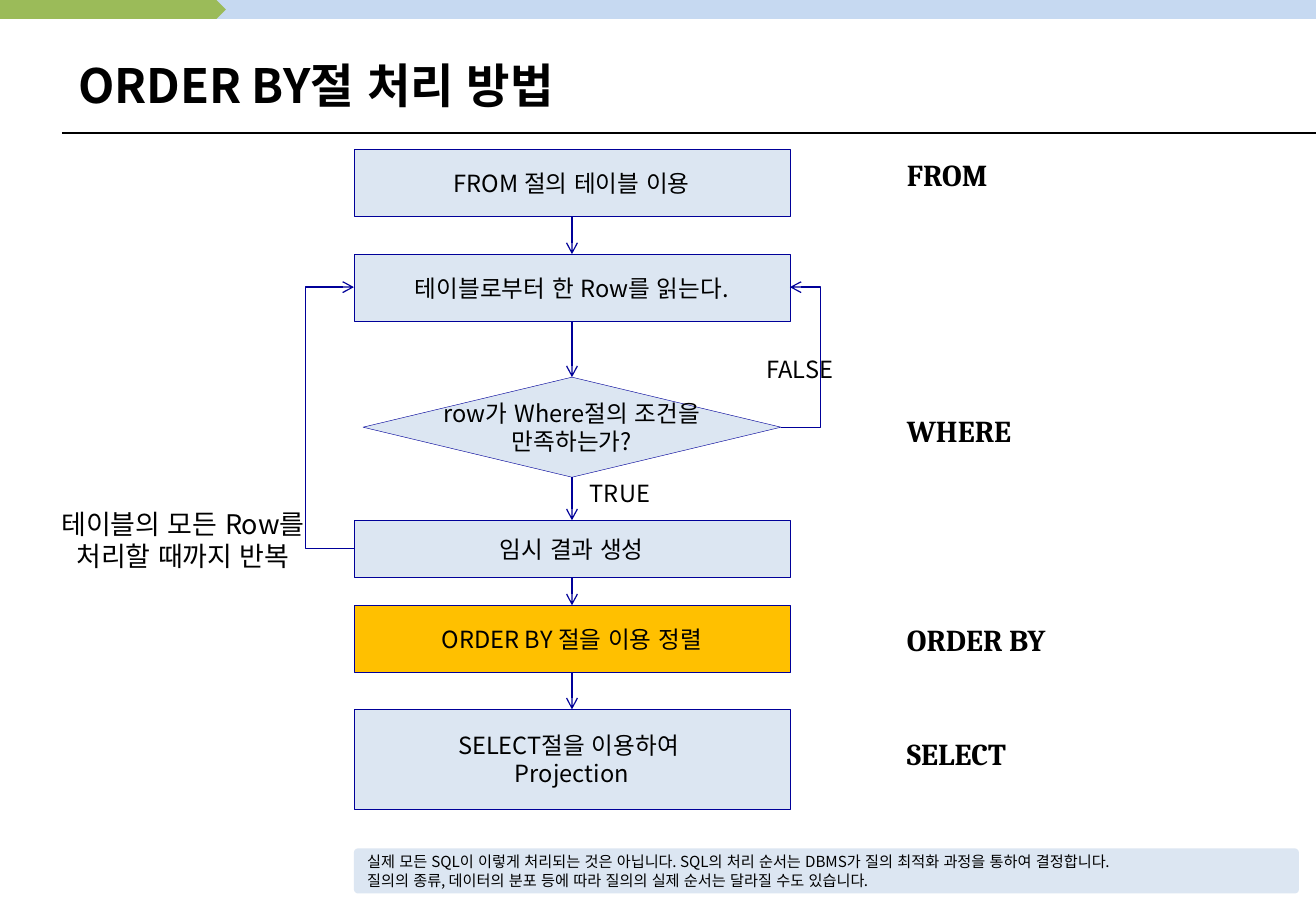
from pptx import Presentation
from pptx.dml.color import RGBColor
from pptx.enum.lang import MSO_LANGUAGE_ID as LANG
from pptx.enum.shapes import MSO_CONNECTOR as CONN, MSO_SHAPE as SHAPE
from pptx.enum.text import MSO_ANCHOR as ANCHOR, PP_ALIGN as ALIGN
from pptx.oxml.ns import qn
from pptx.util import Inches, Pt
from lxml.etree import SubElement

PX = 7532  # EMU per px
SANS, SERIF = "Noto Sans CJK KR", "Cambria"
COLORS = {"band": "C6D9F1", "tab": "9BBB59", "box": "DCE6F2", "sort": "FFC000",
          "line": "000099", "text": "000000"}
C = {name: RGBColor.from_string(value) for name, value in COLORS.items()}

prs = Presentation()
prs.slide_width, prs.slide_height = Inches(10.84), Inches(7.5)
s = prs.slides.add_slide(prs.slide_layouts[5])


def put_text(sp, text, size=14, font=SANS, bold=False, align=ALIGN.CENTER,
             anchor=ANCHOR.MIDDLE, inset=(12, 6), wrap=True):
    tf = sp.text_frame
    tf.word_wrap, tf.vertical_anchor = wrap, anchor
    tf.margin_left = tf.margin_right = inset[0] * PX
    tf.margin_top = tf.margin_bottom = inset[1] * PX
    p = tf.paragraphs[0]
    p.text, p.alignment = text, align
    for r in p.runs:
        r.font.size, r.font.bold, r.font.name = Pt(size), bold, font
        r.font.color.rgb = C["text"]
        r.font.language_id = LANG.KOREAN
        r.font._element.set("kern", "0")
        SubElement(r.font._element, qn("a:ea")).set("typeface", font)


def add_line(x1, y1, x2, y2, color="line", width=0.75, via=None, arrow=True):
    kind = CONN.STRAIGHT if via is None else CONN.ELBOW
    cx = s.shapes.add_connector(kind, x1 * PX, y1 * PX, x2 * PX, y2 * PX)
    cx.line.color.rgb, cx.line.width = C[color], Pt(width)
    sp_pr = cx._element.spPr
    if via is not None:  # x of the vertical leg, as a share of the width
        guide = SubElement(sp_pr.find(qn("a:prstGeom")).get_or_add_avLst(), qn("a:gd"))
        guide.set("name", "adj1")
        guide.set("fmla", f"val {round((via - x1) / (x2 - x1) * 100000)}")
    if arrow:
        SubElement(cx.line._get_or_add_ln(), qn("a:tailEnd")).set("type", "arrow")
    SubElement(sp_pr, qn("a:effectLst"))


# Header bands, title rule and note panel
for kind, x, y, w, h, color in [
        (SHAPE.RECTANGLE, 62, 0, 1254, 19, "band"),
        (SHAPE.PENTAGON, 0, 0, 226, 19, "tab"),
        (SHAPE.ROUNDED_RECTANGLE, 354, 848, 945, 45, "box")]:
    note = s.shapes.add_shape(kind, x * PX, y * PX, w * PX, h * PX)
    note.shadow.inherit = False
    note.fill.solid()
    note.fill.fore_color.rgb = C[color]
    note.line.fill.background()
note.adjustments[0] = 0.09
put_text(note, "실제 모든 SQL이 이렇게 처리되는 것은 아닙니다. SQL의 처리 순서는 DBMS가 "
               "질의 최적화 과정을 통하여 결정합니다. \n"
               "질의의 종류, 데이터의 분포 등에 따라 질의의 실제 순서는 달라질 수도 있습니다.",
         size=9, align=ALIGN.LEFT)
add_line(62, 133, 1316, 133, color="text", width=1, arrow=False)

# Title
title = s.shapes.title
title.left, title.top, title.width, title.height = 66 * PX, 37 * PX, 1184 * PX, 96 * PX
put_text(title, "ORDER BY절 처리 방법", size=28, bold=True, align=ALIGN.LEFT)

# Flow steps, centred on one axis: kind, top, width, height, fill, text
AXIS = 572
steps = [
    (SHAPE.FLOWCHART_PROCESS, 149, 436, 67, "box", "FROM 절의 테이블 이용"),
    (SHAPE.FLOWCHART_PROCESS, 254, 436, 67, "box", "테이블로부터 한 Row를 읽는다."),
    (SHAPE.FLOWCHART_DECISION, 377, 418, 100, "box", "row가 Where절의 조건을\n만족하는가?"),
    (SHAPE.FLOWCHART_PROCESS, 520, 436, 57, "box", "임시 결과 생성"),
    (SHAPE.FLOWCHART_PROCESS, 605, 436, 67, "sort", "ORDER BY 절을 이용 정렬"),
    (SHAPE.FLOWCHART_PROCESS, 709, 436, 100, "box", "SELECT절을 이용하여 \nProjection"),
]
for kind, y, w, h, color, text in steps:
    step = s.shapes.add_shape(kind, (AXIS - w // 2) * PX, y * PX, w * PX, h * PX)
    step.shadow.inherit = False
    step.fill.solid()
    step.fill.fore_color.rgb = C[color]
    step.line.color.rgb, step.line.width = C["line"], Pt(0.25)
    put_text(step, text, inset=(0, 0), wrap=False)

# Arrows between steps, then the two loops back to reading a row
for above, below in zip(steps, steps[1:]):
    add_line(AXIS, above[1] + above[3], AXIS, below[1])
add_line(781, 427, 790, 287, via=821)
add_line(355, 548, 354, 287, via=306)

# Branch and loop labels
for text, x, y, h, size in [("테이블의 모든 Row를 처리할 때까지 반복", 31, 501, 78, 16),
                            ("TRUE", 468, 473, 41, 14),
                            ("FALSE", 648, 349, 41, 14)]:
    label = s.shapes.add_textbox(x * PX, y * PX, 304 * PX, h * PX)
    put_text(label, text, size=size, anchor=ANCHOR.TOP)

# Clause names
for clause, y in [("FROM", 150), ("WHERE", 406), ("ORDER BY", 615), ("SELECT", 729)]:
    label = s.shapes.add_textbox(895 * PX, y * PX, 278 * PX, 49 * PX)
    put_text(label, clause, size=18, font=SERIF, bold=True, align=ALIGN.LEFT,
             anchor=ANCHOR.TOP)

prs.save("out.pptx")
